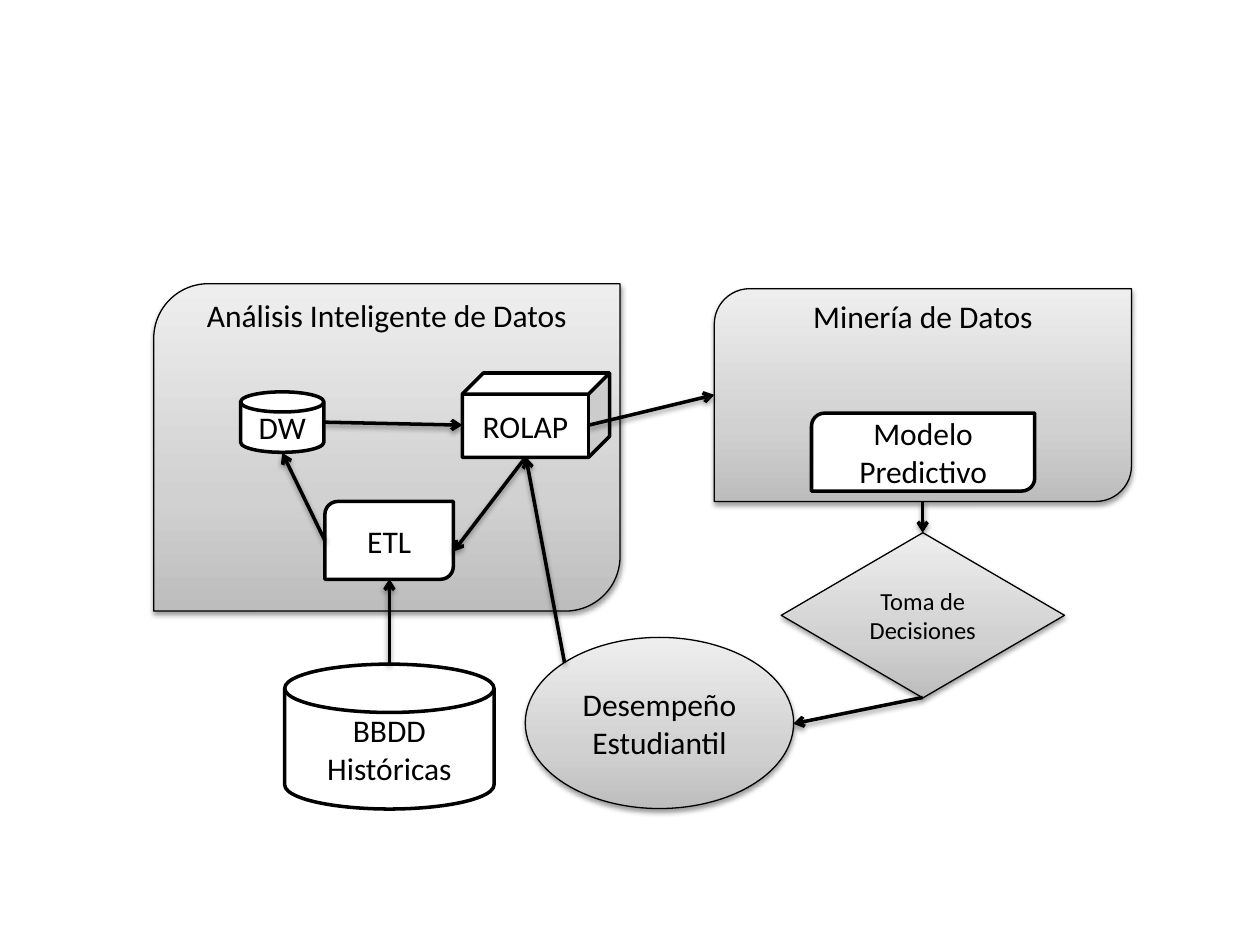
from lxml.etree import SubElement
from pptx import Presentation
from pptx.dml.color import RGBColor
from pptx.enum.shapes import MSO_CONNECTOR, MSO_SHAPE
from pptx.enum.text import MSO_ANCHOR, PP_ALIGN
from pptx.oxml.ns import qn
from pptx.util import Cm, Pt

BLACK, WHITE = "000000", "FFFFFF"
GRADIENT = [(0, "BDBDBD"), (35, "D1D1D1"), (100, "EEEEEE")]

ROUNDED = MSO_SHAPE.ROUND_2_DIAG_RECTANGLE
DISK = MSO_SHAPE.FLOWCHART_MAGNETIC_DISK

# Shape, left, top, width, height (cm)
PANELS = [
    (ROUNDED, 3.1, 5.72, 9.4, 6.6),
    (ROUNDED, 14.4, 5.82, 8.41, 4.29),
]
TITLES = [
    ("Análisis Inteligente de Datos", 3.1, 5.84, 9.4, 1.02),
    ("Minería de Datos", 14.4, 5.87, 8.41, 1.02),
]
STEPS = [
    ("BBDD Históricas", DISK, 5.74, 13.39, 4.22, 2.92),
    ("DW", DISK, 4.85, 7.9, 1.68, 1.22),
    ("ETL", ROUNDED, 6.55, 10.11, 2.59, 1.57),
    ("ROLAP", MSO_SHAPE.CUBE, 9.32, 7.52, 2.97, 1.7),
    ("Modelo Predictivo", ROUNDED, 16.36, 8.33, 4.5, 1.57),
]
OUTCOMES = [
    ("Desempeño Estudiantil", 18, MSO_SHAPE.OVAL, 10.59, 12.85, 5.41, 3.45),
    ("Toma de Decisiones", 14, MSO_SHAPE.DIAMOND, 15.75, 10.74, 5.71, 3.33),
]
# Start x, start y, end x, end y (cm)
ARROWS = [
    (7.85, 13.39, 7.85, 11.67),    # BBDD to ETL
    (6.55, 10.9, 5.69, 9.13),      # ETL to DW
    (6.53, 8.51, 9.32, 8.57),      # DW to ROLAP
    (11.87, 8.57, 14.4, 7.96),     # ROLAP to Minería
    (11.38, 13.36, 10.6, 9.21),    # Desempeño to ROLAP
    (10.6, 9.21, 9.14, 11.12),     # ROLAP to ETL
    (18.6, 10.11, 18.6, 10.74),    # Minería to Toma de Decisiones
    (18.6, 14.06, 15.99, 14.59),   # Toma de Decisiones to Desempeño
]


def rgb(color):
    return RGBColor.from_string(color)


def add_element(parent, tag, **attributes):
    names = {name: str(value) for name, value in attributes.items()}
    return SubElement(parent, qn(tag), names)


def add_shadow(effects):
    """Put a soft shadow below the owner of the effect list."""
    shadow = add_element(effects, "a:outerShdw", blurRad=Pt(3.1), dist=Pt(1.6),
                         dir=5400000, rotWithShape=0)
    color = add_element(shadow, "a:srgbClr", val=BLACK)
    add_element(color, "a:alpha", val=38000)


def fill_gradient(shape):
    """Shade the shape from dark at the bottom to light at the top."""
    shape.fill.gradient()
    gradient = shape.element.spPr.find(qn("a:gradFill"))
    for child in list(gradient):
        gradient.remove(child)
    stops = add_element(gradient, "a:gsLst")
    for position, color in GRADIENT:
        stop = add_element(stops, "a:gs", pos=position * 1000)
        add_element(stop, "a:srgbClr", val=color)
    add_element(gradient, "a:lin", ang=270 * 60000, scaled=0)


def write_text(shape, text, size):
    frame = shape.text_frame
    frame.word_wrap = True
    frame.text = text
    paragraph = frame.paragraphs[0]
    paragraph.alignment = PP_ALIGN.CENTER
    font = paragraph.runs[0].font
    font.name = "Calibri"
    font.size = Pt(size)
    font.color.rgb = rgb(BLACK)


def add_outlined(slide, kind, box, line_width):
    shape = slide.shapes.add_shape(kind, *map(Cm, box))
    shape.line.color.rgb = rgb(BLACK)
    shape.line.width = Pt(line_width)
    shape.shadow.inherit = False
    shape.text_frame.vertical_anchor = MSO_ANCHOR.MIDDLE
    return shape


def add_shaded(slide, kind, box):
    shape = add_outlined(slide, kind, box, 0.75)
    fill_gradient(shape)
    add_shadow(shape.element.spPr.find(qn("a:effectLst")))
    return shape


def add_step(slide, text, kind, box):
    shape = add_outlined(slide, kind, box, 2)
    shape.fill.solid()
    shape.fill.fore_color.rgb = rgb(WHITE)
    write_text(shape, text, 18)


def add_title(slide, text, box):
    write_text(slide.shapes.add_textbox(*map(Cm, box)), text, 18)


def add_arrow(slide, points):
    arrow = slide.shapes.add_connector(MSO_CONNECTOR.STRAIGHT, *map(Cm, points))
    arrow.line.color.rgb = rgb(BLACK)
    arrow.line.width = Pt(2)
    properties = arrow.element.spPr
    add_element(properties.find(qn("a:ln")), "a:tailEnd", type="arrow")
    add_shadow(add_element(properties, "a:effectLst"))


def main():
    presentation = Presentation()
    presentation.slide_width = Cm(25.4)
    presentation.slide_height = Cm(19.05)
    slide = presentation.slides.add_slide(presentation.slide_layouts[6])

    for kind, *box in PANELS:
        add_shaded(slide, kind, box)
    for text, *box in TITLES:
        add_title(slide, text, box)
    for text, kind, *box in STEPS:
        add_step(slide, text, kind, box)
    for text, size, kind, *box in OUTCOMES:
        write_text(add_shaded(slide, kind, box), text, size)
    for points in ARROWS:
        add_arrow(slide, points)

    presentation.save("out.pptx")


if __name__ == "__main__":
    main()
